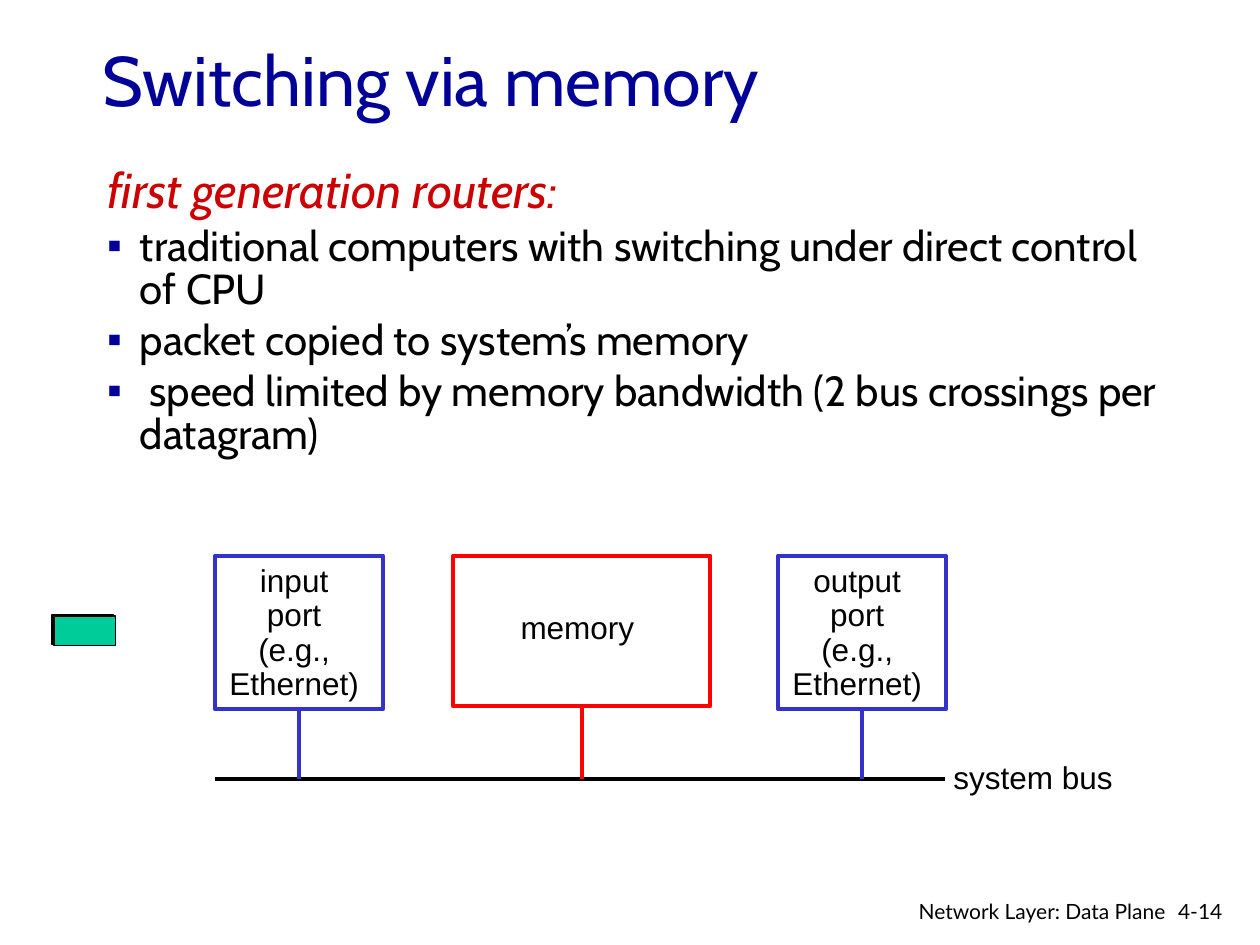
from lxml.etree import SubElement
from pptx import Presentation
from pptx.dml.color import RGBColor
from pptx.enum.shapes import MSO_CONNECTOR, MSO_SHAPE
from pptx.enum.text import MSO_ANCHOR as Anchor, PP_ALIGN as Align
from pptx.oxml.ns import qn
from pptx.util import Cm, Pt

NAVY, BLUE, RED, BLACK = "000099", "3333CC", "FF0000", "000000"


def rgb(hex_):
    return RGBColor.from_string(hex_)


def add_bullet(p, char, color):
    pPr = p._p.get_or_add_pPr()
    SubElement(SubElement(pPr, qn("a:buClr")), qn("a:srgbClr"), val=color)
    SubElement(pPr, qn("a:buFont"), typeface="Arial")
    SubElement(pPr, qn("a:buChar"), char=char)


def write(tf, lines, font="Arial", size=18, color=BLACK, italic=False, align=Align.LEFT,
          spacing=None, before=0, indent=0, bullet=None, anchor=Anchor.TOP,
          wrap=True, append=False):
    """Put each line in its own paragraph, in one format."""
    tf.word_wrap, tf.vertical_anchor = wrap, anchor
    for i, line in enumerate(lines):
        p = tf.add_paragraph() if append or i else tf.paragraphs[0]
        p.alignment, p.line_spacing = align, spacing
        if before:
            p.space_before = Pt(before)
        if indent:
            pPr = p._p.get_or_add_pPr()
            pPr.set("marL", str(Cm(indent)))
            pPr.set("indent", str(-Cm(indent)))
        if bullet:
            add_bullet(p, bullet, NAVY)
        r = p.add_run()
        r.text = line
        r.font.name, r.font.size, r.font.italic = font, Pt(size), italic
        r.font.color.rgb = rgb(color)


def add_text(s, x, y, w, h, lines, **fmt):
    sp = s.shapes.add_textbox(Cm(x), Cm(y), Cm(w), Cm(h))
    write(sp.text_frame, lines, **fmt)
    return sp


def add_rect(s, x, y, w, h, line, fill=None, width=2.25):
    sp = s.shapes.add_shape(MSO_SHAPE.RECTANGLE, Cm(x), Cm(y), Cm(w), Cm(h))
    sp.shadow.inherit = False
    if fill:
        sp.fill.solid()
        sp.fill.fore_color.rgb = rgb(fill)
    else:
        sp.fill.background()
    sp.line.color.rgb, sp.line.width = rgb(line), Pt(width)


def add_line(s, x1, y1, x2, y2, color):
    sp = s.shapes.add_connector(MSO_CONNECTOR.STRAIGHT, Cm(x1), Cm(y1), Cm(x2), Cm(y2))
    sp.line.color.rgb, sp.line.width = rgb(color), Pt(2.25)
    SubElement(sp._element.spPr, qn("a:effectLst"))


def add_title(s, x, y, w, h):
    sp = s.shapes.title
    sp.left, sp.top, sp.width, sp.height = Cm(x), Cm(y), Cm(w), Cm(h)
    write(sp.text_frame, ["Switching via memory"], font="Cabin", size=40, color=NAVY,
          anchor=Anchor.MIDDLE)


def add_body(s, x, y, w, h):
    fmt = dict(font="Cabin", spacing=0.85, indent=0.66)
    sp = add_text(s, x, y, w, h, ["first generation routers:"], size=28, color="CC0000",
                  italic=True, **fmt)
    write(sp.text_frame, [
        "traditional computers with switching under direct control of CPU",
        "packet copied to system’s memory",
        " speed limited by memory bandwidth (2 bus crossings per datagram)",
    ], size=24, before=4.8, bullet="▪", append=True, **fmt)


def add_port(s, x, y, w, h, bus_y, kind):
    add_rect(s, x, y, w, h, BLUE, fill="FFFFFF")
    add_text(s, x - 0.1, y + 0.08, w, h - 0.1, [kind, "port", "(e.g.,", "Ethernet)"],
             align=Align.CENTER, spacing=0.9, wrap=False)
    add_line(s, x + w / 2, y + h, x + w / 2, bus_y, BLUE)


def add_memory(s, x, y, w, h, bus_y):
    add_text(s, x + 0.7, y + 1.02, 3.6, 0.94, ["memory"], align=Align.CENTER,
             spacing=0.9, wrap=False)
    add_rect(s, x, y, w, h, RED)
    add_line(s, x + w / 2, y + h, x + w / 2, bus_y, RED)


def add_diagram(s, x, y, w, h):
    bus_y = y + h
    # System bus
    add_line(s, x, bus_y, x + w, bus_y, BLACK)
    add_text(s, x + w - 0.08, bus_y - 0.55, 4, 1.02, ["system bus"])
    # Ports and memory on the bus
    add_port(s, x, y, 3.38, 3.1, bus_y, "input")
    add_memory(s, x + 4.8, y, 5.18, 3.04, bus_y)
    add_port(s, x + 11.35, y, 3.38, 3.1, bus_y, "output")


def add_packets(s, x, y, w, h):
    for dx, dy in ((0, 0), (0.04, 0.02)):
        add_rect(s, x + dx, y + dy, w, h, BLACK, fill="00CC99", width=0.75)


def add_footer(s, x, y, w, h):
    add_text(s, x + w - 1.55, y, 1.55, h, ["4-14"], font="Lato", size=12)
    add_text(s, x, y, w - 1.3, h, ["Network Layer: Data Plane"], font="Lato", size=12,
             align=Align.RIGHT)


def main():
    prs = Presentation()
    prs.slide_width, prs.slide_height = Cm(25.4), Cm(19.05)
    s = prs.slides.add_slide(prs.slide_layouts[5])
    add_title(s, 1.82, 0.74, 21.59, 1.7)
    add_body(s, 1.91, 3.28, 21.79, 2.97)
    add_diagram(s, 4.34, 11.2, 14.71, 4.5)
    add_packets(s, 1.05, 12.4, 1.24, 0.59)
    add_footer(s, 17.7, 17.98, 7.35, 0.7)
    prs.save("out.pptx")


if __name__ == "__main__":
    main()
